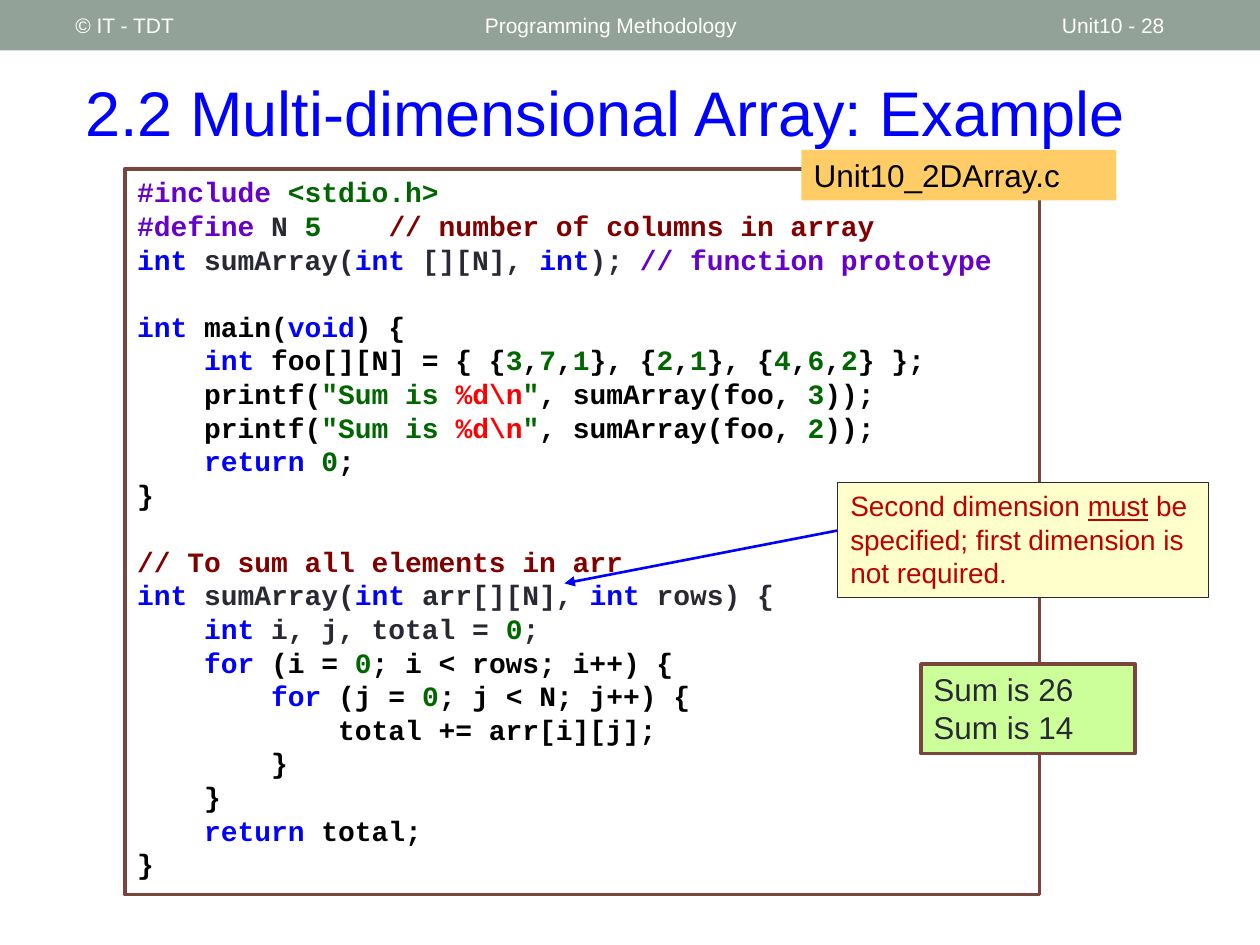
from pptx import Presentation
from pptx.dml.color import RGBColor
from pptx.enum.shapes import MSO_CONNECTOR as Link, MSO_SHAPE as Preset
from pptx.enum.text import MSO_ANCHOR as Anchor, PP_ALIGN as Align
from pptx.oxml.ns import qn
from pptx.util import Inches, Pt
from lxml.etree import SubElement

COLUMNS, ROWS = 100, 75  # grid laid over the whole slide
CODE_LEADING = 19.2

COLORS = {
    "band": "93A299", "white": "FFFFFF", "title": "0000FF", "frame": "79463D",
    "file": "FFCC66", "note": "FFFFCC", "output": "CCFF99", "warning": "C00000",
    # syntax colours
    "keyword": "0000FF", "directive": "6600CC", "literal": "006600",
    "comment": "800000", "format": "FF0000", "dark": "292934", "plain": "000000",
}


class Slide:
    """Holds the style and the current slide; lengths are grid columns and rows."""

    font, code_font = "Arial", "Courier New"

    def __init__(self, deck):
        self.column = deck.slide_width / COLUMNS
        self.row = deck.slide_height / ROWS
        self.shapes = deck.slides.add_slide(deck.slide_layouts[6]).shapes

    def place(self, *lengths):
        units = (self.column, self.row) * 2
        return [round(length * unit) for length, unit in zip(lengths, units)]

    def color(self, name):
        return RGBColor.from_string(COLORS[name])

    def box(self, at, fill, line=None, width=1):
        box = self.shapes.add_shape(Preset.RECTANGLE, *self.place(*at))
        box.shadow.inherit = False
        box.fill.solid()
        box.fill.fore_color.rgb = self.color(fill)
        if line:
            box.line.color.rgb = self.color(line)
            box.line.width = Pt(width)
        else:
            box.line.fill.background()
        return box

    def prose(self, holder, lines, size, color="plain", anchor=Anchor.TOP):
        """Each line is a list of (text, underlined) runs."""
        frame = self.frame(holder, anchor)
        for paragraph, runs in self.paragraphs(frame, lines):
            for text, underlined in runs:
                run = self.run(paragraph, text, size, self.font, color)
                if underlined:
                    run.font.underline = True

    def label(self, at, text, size, color):
        holder = self.shapes.add_textbox(*self.place(*at))
        self.prose(holder, [[(text, False)]], size, color, Anchor.MIDDLE)

    def code(self, holder, blocks, size):
        """Each block is a list of lines, each line a list of (role, text) tokens."""
        frame = self.frame(holder, Anchor.TOP)
        starts = [block[0] for block in blocks[1:]]
        lines = [line for block in blocks for line in block]
        for paragraph, tokens in self.paragraphs(frame, lines):
            paragraph.line_spacing = Pt(CODE_LEADING)
            if any(tokens is start for start in starts):
                paragraph.space_before = Pt(CODE_LEADING)
            for role, text in tokens:
                run = self.run(paragraph, text, size, self.code_font, role)
                run.font.bold = True

    def frame(self, holder, anchor):
        frame = holder.text_frame
        frame.word_wrap = True
        frame.vertical_anchor = anchor
        return frame

    def paragraphs(self, frame, lines):
        for number, line in enumerate(lines):
            paragraph = frame.add_paragraph() if number else frame.paragraphs[0]
            paragraph.alignment = Align.LEFT
            yield paragraph, line

    def run(self, paragraph, text, size, font, color):
        run = paragraph.add_run()
        run.text = text
        run.font.size, run.font.name = Pt(size), font
        run.font.color.rgb = self.color(color)
        return run

    def arrow(self, start, end, color, width):
        arrow = self.shapes.add_connector(Link.STRAIGHT, *self.place(*start, *end))
        arrow.line.color.rgb = self.color(color)
        arrow.line.width = Pt(width)
        properties = arrow._element.spPr
        SubElement(properties.find(qn("a:ln")), qn("a:tailEnd"), type="triangle")
        SubElement(properties, qn("a:effectLst"))


def keyword(text):
    return "keyword", text


def literal(text):
    return "literal", text


def plain(text):
    return "plain", text


def dark(text):
    return "dark", text


def print_sum(rows):
    return [plain("    printf("), literal('"Sum is '), ("format", "%d\\n"), literal('"'),
            plain(", sumArray(foo, "), literal(rows), plain("));")]


def loop(indent, index, limit):
    return [plain(indent), keyword("for"), plain(f" ({index} = "), literal("0"),
            plain(f"; {index} < {limit}; {index}++) {{")]


def array_rows(*rows):
    """Numbers as literals, with plain punctuation between them."""
    tokens = []
    for number, row in enumerate(rows):
        if number:
            tokens.append(plain("}, {"))
        for place, value in enumerate(row):
            if place:
                tokens.append(plain(","))
            tokens.append(literal(value))
    return tokens


PROTOTYPE = [
    [("directive", "#include "), literal("<stdio.h>")],
    [("directive", "#define "), dark("N "), literal("5    "),
     ("comment", "// number of columns in array")],
    [keyword("int "), dark("sumArray("), keyword("int "), dark("[][N], "), keyword("int"),
     dark(");"), ("directive", " // function prototype")],
]
MAIN = [
    [keyword("int"), plain(" main("), keyword("void"), plain(") {")],
    [plain("    "), keyword("int"), plain(" foo[][N] = { {"),
     *array_rows("371", "21", "462"), plain("} };")],
    print_sum("3"),
    print_sum("2"),
    [plain("    "), keyword("return "), literal("0"), plain(";")],
    [plain("}")],
]
SUM_ARRAY = [
    [("comment", "// To sum all elements in arr")],
    [keyword("int "), dark("sumArray("), keyword("int "), dark("arr[][N], "),
     keyword("int"), dark(" rows) {")],
    [plain("    "), keyword("int"), dark(" i, j, total = "), literal("0"), dark(";")],
    loop("    ", "i", "rows"),
    loop("        ", "j", "N"),
    [plain("            total += arr[i][j];")],
    [plain("        }")],
    [plain("    }")],
    [plain("    "), keyword("return"), plain(" total;")],
    [plain("}")],
]


def main():
    deck = Presentation()
    deck.slide_width, deck.slide_height = Inches(10), Inches(7.5)
    slide = Slide(deck)

    # Header band and title
    slide.box((0, 0, COLUMNS, 4), "band")
    for left, width, text in ((5, 31.7, "© IT - TDT"),
                              (37.5, 45, "Programming Methodology"),
                              (83.3, 11.7, "Unit10 - 28")):
        slide.label((left, 0.2, width, 3.6), text, 12, "white")
    slide.label((5.8, 4.2, 91.7, 9.2), "2.2 Multi-dimensional Array: Example", 36, "title")

    # Program listing with its file name
    listing = slide.box((9.9, 13.4, 72.6, 57.6), "white", "frame", 2.08)
    slide.code(listing, [PROTOTYPE, MAIN, SUM_ARRAY], 16)
    file_name = slide.box((63.6, 11.9, 25, 4), "file")
    slide.prose(file_name, [[("Unit10_2DArray.c", False)]], 18)

    # Note pointing at the array parameter
    slide.arrow((66.5, 42.1), (44.8, 46.3), "keyword", 1.5)
    note = slide.box((66.5, 38.3, 29.4, 9.1), "note", "dark", 0.75)
    slide.prose(note, [[("Second dimension ", False), ("must", True),
                        (" be specified; first dimension is not required.", False)]],
                16, "warning")

    # Program output
    output = slide.box((73.1, 52.7, 17, 7.1), "output", "frame", 2.08)
    slide.prose(output, [[(f"Sum is {total}", False)] for total in (26, 14)], 18, "dark")

    deck.save("out.pptx")


if __name__ == "__main__":
    main()
